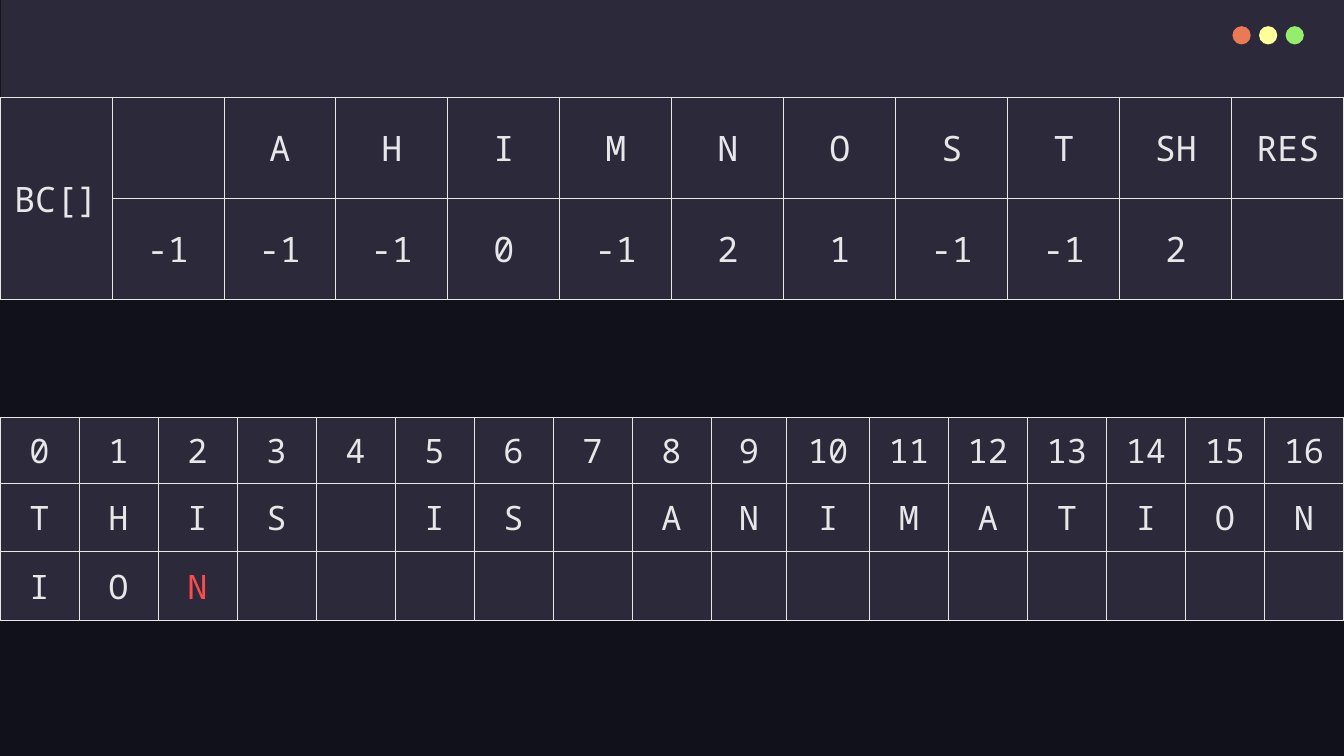
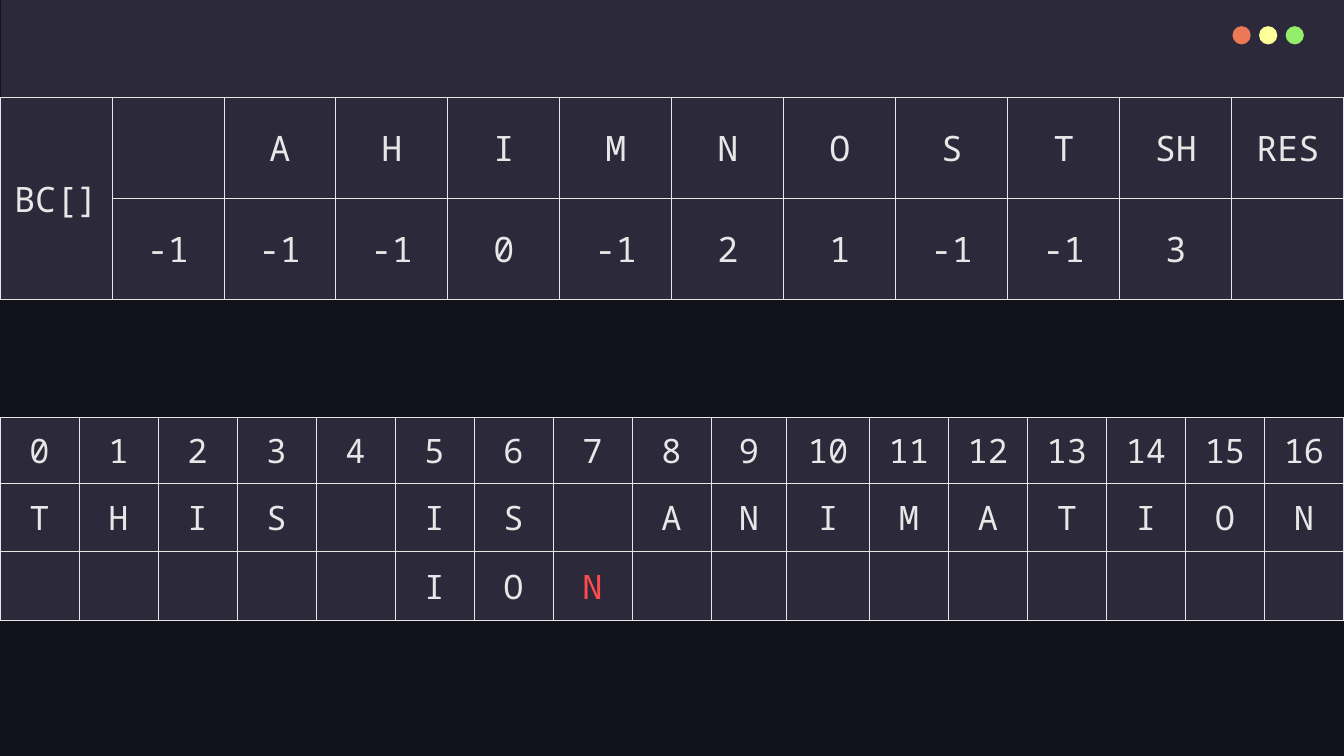
from dataclasses import dataclass

from lxml import etree
from pptx import Presentation
from pptx.dml.color import RGBColor
from pptx.enum.shapes import MSO_SHAPE
from pptx.enum.text import MSO_ANCHOR, PP_ALIGN
from pptx.oxml.ns import qn
from pptx.util import Cm, Pt

RECT, OVAL = MSO_SHAPE.RECTANGLE, MSO_SHAPE.OVAL
CENTER, MIDDLE = PP_ALIGN.CENTER, MSO_ANCHOR.MIDDLE

SLIDE_W, SLIDE_H = 33.87, 19.05
TEXT, PATTERN = "THIS IS ANIMATION", "ION"


@dataclass(frozen=True)
class Theme:
    background: str = "10111A"
    panel: str = "2C293A"
    ink: str = "E7E7E7"
    alert: str = "FD4A4A"
    dots: tuple = ("EC7955", "FFFF99", "94EE6B")
    font: str = "Noto Sans Mono"
    table_size: int = 25
    text_size: int = 24
    border: float = 0.75


THEME = Theme()


def rgb(color):
    return RGBColor.from_string(color)


def paint(obj, color):
    obj.fill.solid()
    obj.fill.fore_color.rgb = rgb(color)


def add_plain_shape(s, kind, x, y, w, h, color):
    sp = s.shapes.add_shape(kind, Cm(x), Cm(y), Cm(w), Cm(h))
    sp.shadow.inherit = False
    sp.line.fill.background()
    paint(sp, color)


def add_borders(cell):
    tc_pr = cell._tc.get_or_add_tcPr()
    for side in ("a:lnL", "a:lnR", "a:lnT", "a:lnB"):
        ln = etree.SubElement(tc_pr, qn(side), w=str(Pt(THEME.border)))
        fill = etree.SubElement(ln, qn("a:solidFill"))
        etree.SubElement(fill, qn("a:srgbClr"), val=THEME.ink)


def format_cell(cell, text, size, color):
    add_borders(cell)
    paint(cell, THEME.panel)
    layout = {"margin_left": Cm(0.33), "margin_right": Cm(0.33),
              "margin_top": Cm(0.25), "margin_bottom": Cm(0.25),
              "vertical_anchor": MIDDLE}
    for name, value in layout.items():
        setattr(cell, name, value)
    p = cell.text_frame.paragraphs[0]
    p.alignment = CENTER
    if text:
        r = p.add_run()
        r.text = text
        r.font.name, r.font.size = THEME.font, Pt(size)
        r.font.color.rgb = rgb(color)


def add_grid(s, top, widths, heights, rows, size, alerts=()):
    """Add a full-width table; alerts lists the (row, column) cells in red."""
    frame = s.shapes.add_table(len(heights), len(widths), 0, Cm(top),
                               Cm(sum(widths)), Cm(sum(heights)))
    table = frame.table
    table.first_row = table.horz_banding = False
    for column, width in zip(table.columns, widths):
        column.width = Cm(width)
    for row, height in zip(table.rows, heights):
        row.height = Cm(height)
    for i, row in enumerate(rows):
        for j, text in enumerate(row):
            color = THEME.alert if (i, j) in alerts else THEME.ink
            format_cell(table.cell(i, j), text.strip(), size, color)
    return table


# Window bar with its three buttons
def add_window_bar(s):
    add_plain_shape(s, RECT, 0.02, 0, SLIDE_W - 0.02, 4.29, THEME.panel)
    for i, color in enumerate(THEME.dots):
        add_plain_shape(s, OVAL, 31.06 + i * 0.67, 0.66, 0.46, 0.46, color)


# Text with the pattern aligned below it
def add_text_table(s, offset):
    before = [""] * offset
    after = [""] * (len(TEXT) - offset - len(PATTERN))
    rows = [[str(i) for i in range(len(TEXT))], TEXT,
            before + list(PATTERN) + after]
    special = {9: 1.91, 10: 2.08}
    regular = (SLIDE_W - sum(special.values())) / (len(TEXT) - len(special))
    widths = [special.get(i, regular) for i in range(len(TEXT))]
    mismatch = (2, offset + len(PATTERN) - 1)
    add_grid(s, 10.52, widths, [1.65, 1.73, 1.73], rows,
             THEME.text_size, [mismatch])


# Last position of each letter in the pattern, shift and result
def add_bad_character_table(s, shift):
    letters = sorted(set(TEXT))
    positions = [str(PATTERN.rfind(c)) for c in letters]
    rows = [["BC[]", *letters, "SH", "RES"], ["", *positions, str(shift), ""]]
    count = len(rows[0])
    table = add_grid(s, 2.46, [SLIDE_W / count] * count, [2.55, 2.55], rows,
                     THEME.table_size)
    table.cell(0, 0).merge(table.cell(1, 0))


def main():
    prs = Presentation()
    prs.slide_width, prs.slide_height = Cm(SLIDE_W), Cm(SLIDE_H)
    paint(prs.slide_master.background, THEME.background)
    blank = prs.slide_layouts[6]
    for offset, shift in ((0, 2), (5, 3)):
        s = prs.slides.add_slide(blank)
        add_window_bar(s)
        add_text_table(s, offset)
        add_bad_character_table(s, shift)
    prs.save("out.pptx")


if __name__ == "__main__":
    main()
